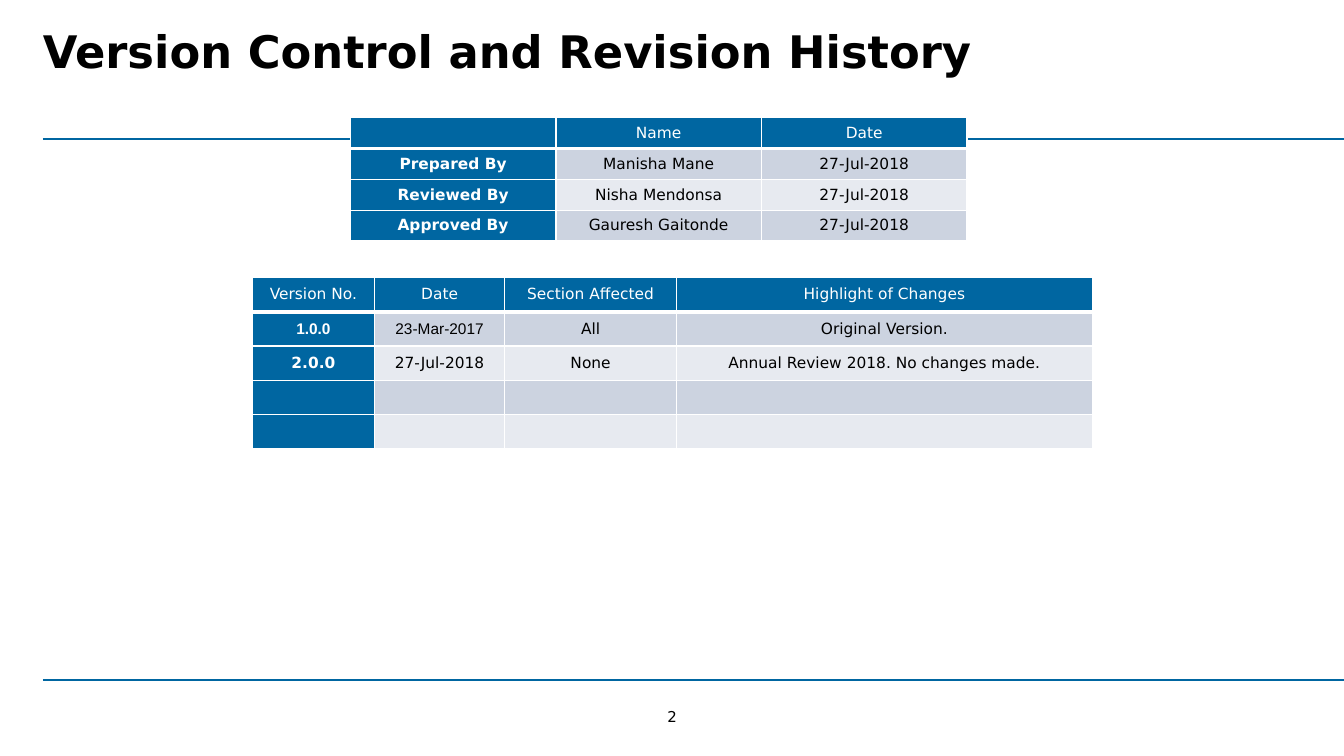
from dataclasses import dataclass

from lxml import etree
from pptx import Presentation
from pptx.dml.color import RGBColor
from pptx.enum.shapes import MSO_CONNECTOR
from pptx.enum.text import MSO_ANCHOR, PP_ALIGN
from pptx.oxml.ns import qn
from pptx.util import Cm, Pt

STRAIGHT = MSO_CONNECTOR.STRAIGHT
TOP, MIDDLE = MSO_ANCHOR.TOP, MSO_ANCHOR.MIDDLE
LEFT, CENTER = PP_ALIGN.LEFT, PP_ALIGN.CENTER


@dataclass(frozen=True)
class Theme:
    blue: str = "0066A1"
    white: str = "FFFFFF"
    black: str = "000000"
    bands: tuple = ("CCD3E0", "E7EAF0")
    font: str = "DejaVu Sans"
    alt_font: str = "Arial"
    title: float = 32
    body: float = 11
    page: float = 10.7


theme = Theme()


def write(p, text, size, color, bold=False, align=CENTER, font=theme.font):
    p.text = text
    p.alignment = align
    for r in p.runs:
        r.font.size = Pt(size)
        r.font.name = font
        r.font.bold = bold
        r.font.color.rgb = RGBColor.from_string(color)
    if not text:
        etree.SubElement(p._p, qn("a:endParaRPr"), sz=str(int(size * 100)))


def border(cell, side, points):
    """Give one side (L, R, T or B) a white line; call before filling the cell."""
    ln = etree.SubElement(cell._tc.get_or_add_tcPr(), qn(f"a:ln{side}"), w=str(Pt(points)))
    fill = etree.SubElement(ln, qn("a:solidFill"))
    etree.SubElement(fill, qn("a:srgbClr"), val=theme.white)


prs = Presentation()
prs.slide_width, prs.slide_height = Cm(33.87), Cm(19.05)
s = prs.slides.add_slide(prs.slide_layouts[6])

# Rules above and below the content
for y in (3.5, 17.14):
    rule = s.shapes.add_connector(STRAIGHT, Cm(1.08), Cm(y), Cm(33.87), Cm(y))
    rule.line.color.rgb = RGBColor.from_string(theme.blue)
    rule.line.width = Pt(1.25)
    etree.SubElement(rule._element.spPr, qn("a:effectLst"))

# Title and page number
labels = [
    ("Version Control and Revision History", (1.08, 0.46, 32.13, 2.67),
     theme.title, True, LEFT, TOP, 0.13),
    ("2", (16.61, 17.83, 0.66, 0.46), theme.page, False, CENTER, MIDDLE, 0),
]
for text, box, size, bold, align, anchor, inset in labels:
    tf = s.shapes.add_textbox(*map(Cm, box)).text_frame
    tf.word_wrap = True
    tf.vertical_anchor = anchor
    tf.margin_left = tf.margin_right = 0
    tf.margin_top = tf.margin_bottom = Cm(inset)
    write(tf.paragraphs[0], text, size, theme.black, bold, align)

# Sign-off and revision tables: left, top, height, column widths, rows
tables = [
    (8.83, 2.97, 3.1, (5.18, 5.18, 5.18), [
        ("", "Name", "Date"),
        ("Prepared By", "Manisha Mane", "27-Jul-2018"),
        ("Reviewed By", "Nisha Mendonsa", "27-Jul-2018"),
        ("Approved By", "Gauresh Gaitonde", "27-Jul-2018"),
    ]),
    (6.36, 6.99, 4.32, (3.08, 3.28, 4.33, 10.48), [
        ("Version No.", "Date", "Section Affected", "Highlight of Changes"),
        ("1.0.0", "23-Mar-2017", "All", "Original Version."),
        ("2.0.0", "27-Jul-2018", "None", "Annual Review 2018. No changes made."),
        ("", "", "", ""),
        ("", "", "", ""),
    ]),
]
arial_texts = ("1.0.0", "23-Mar-2017")

for left, top, height, widths, rows in tables:
    table = s.shapes.add_table(len(rows), len(widths), Cm(left), Cm(top),
                               Cm(sum(widths)), Cm(height)).table
    table.first_col = True
    for column, width in zip(table.columns, widths):
        column.width = Cm(width)
    for i, row in enumerate(rows):
        for j, text in enumerate(row):
            cell = table.cell(i, j)
            heading = i == 0 or j == 0
            for side in "LRTB":
                border(cell, side, 3 if i == 0 and side == "B" else 1)
            cell.fill.solid()
            cell.fill.fore_color.rgb = RGBColor.from_string(
                theme.blue if heading else theme.bands[(i - 1) % 2])
            cell.vertical_anchor = MIDDLE
            cell.margin_left = cell.margin_right = Cm(0.17)
            cell.margin_top = cell.margin_bottom = Cm(0.08)
            write(cell.text_frame.paragraphs[0], text, theme.body,
                  theme.white if heading else theme.black,
                  bold=j == 0 and i > 0,
                  font=theme.alt_font if text in arial_texts else theme.font)

prs.save("out.pptx")
